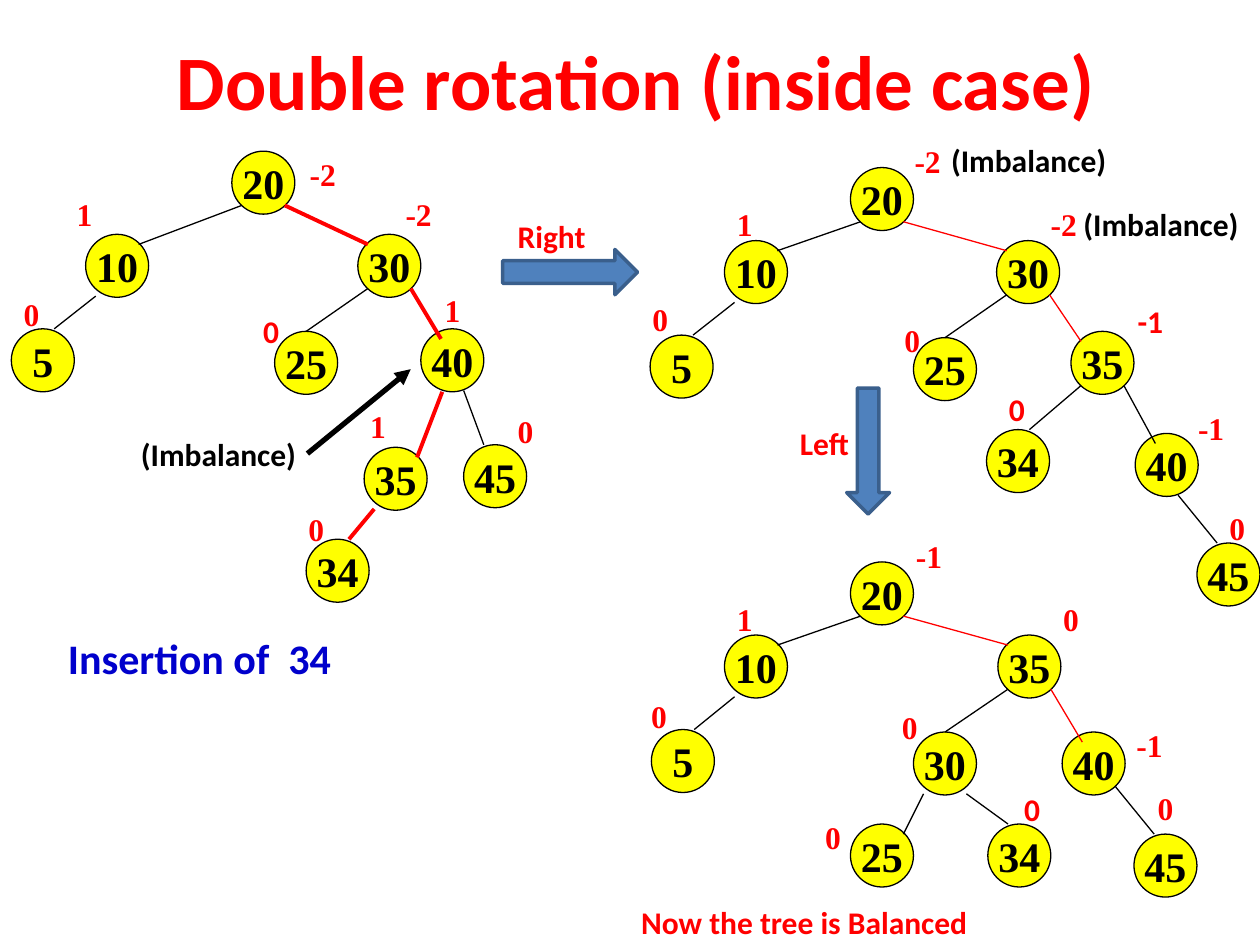
from lxml import etree
from pptx import Presentation
from pptx.dml.color import RGBColor
from pptx.enum.shapes import MSO_CONNECTOR, MSO_SHAPE
from pptx.enum.text import MSO_ANCHOR, MSO_AUTO_SIZE, PP_ALIGN
from pptx.oxml.ns import qn
from pptx.util import Inches, Pt

RED = RGBColor(0xFF, 0x00, 0x00)
BLACK = RGBColor(0x00, 0x00, 0x00)
YELLOW = RGBColor(0xFF, 0xFF, 0x00)
NAVY = RGBColor(0x00, 0x00, 0xCC)
BLUE = RGBColor(0x4F, 0x81, 0xBD)
STEEL = RGBColor(0x3A, 0x5F, 0x8C)
SANS, SERIF = "Calibri", "Times New Roman"
LEFT, CENTER = PP_ALIGN.LEFT, PP_ALIGN.CENTER
TOP, MIDDLE = MSO_ANCHOR.TOP, MSO_ANCHOR.MIDDLE
GROW = MSO_AUTO_SIZE.SHAPE_TO_FIT_TEXT
OVAL, STRAIGHT = MSO_SHAPE.OVAL, MSO_CONNECTOR.STRAIGHT
RIGHT_ARROW, DOWN_ARROW = MSO_SHAPE.RIGHT_ARROW, MSO_SHAPE.DOWN_ARROW

NODE = 0.5
# Where an edge may meet a node, measured from the node's top left corner
PORTS = {
    "sw": (0.08, 0.43), "se": (0.42, 0.43), "nw": (0.08, 0.08), "ne": (0.42, 0.08),
    "low left": (0.08, 0.49), "low right": (0.42, 0.49),
    "foot left": (0.17, 0.5), "foot right": (0.34, 0.49),
    "top": (0.25, 0), "top left": (0.16, 0), "top right": (0.34, 0),
    "brow": (0.16, 0.08),
}


def write(frame, text, size=18, font=SANS, color=RED, align=LEFT, anchor=TOP, wrap=False):
    """Put one bold line of text into a frame."""
    frame.word_wrap = wrap
    frame.vertical_anchor = anchor
    para = frame.paragraphs[0]
    para.alignment = align
    run = para.add_run()
    run.text = text
    run.font.size = Pt(size)
    run.font.name = font
    run.font.bold = True
    run.font.color.rgb = color


class Board:
    """Draws trees and labels on one slide."""

    def __init__(self, slide):
        """Keep the slide to draw on."""
        self.shapes = slide.shapes

    def label(self, text, x, y, w, h=0.4, grow=True, **style):
        """Add a text box."""
        frame = self.shapes.add_textbox(Inches(x), Inches(y), Inches(w), Inches(h)).text_frame
        write(frame, text, **style)
        if grow:
            frame.auto_size = GROW

    def shape(self, kind, x, y, w, h, fill, line, width):
        """Add a filled and outlined preset shape."""
        shape = self.shapes.add_shape(kind, Inches(x), Inches(y), Inches(w), Inches(h))
        shape.shadow.inherit = False
        shape.fill.solid()
        shape.fill.fore_color.rgb = fill
        shape.line.color.rgb = line
        shape.line.width = Pt(width)
        return shape

    def node(self, key, x, y):
        """Add one tree node."""
        oval = self.shape(OVAL, x, y, NODE, NODE, YELLOW, BLACK, 0.75)
        write(oval.text_frame, str(key), size=24, font=SERIF, color=BLACK,
              align=CENTER, anchor=MIDDLE)

    def line(self, start, end, color=BLACK, width=0.75, arrow=False):
        """Add a straight line, with an arrowhead if asked."""
        ends = [Inches(value) for value in (*start, *end)]
        line = self.shapes.add_connector(STRAIGHT, *ends)
        line.line.color.rgb = color
        line.line.width = Pt(width)
        props = line._element.spPr
        etree.SubElement(props, qn("a:effectLst"))
        if arrow:
            etree.SubElement(props.find(qn("a:ln")), qn("a:tailEnd"), type="triangle")

    def tree(self, nodes, edges, marks, path_width=0.75):
        """Add nodes, the edges between them and the balance marks."""
        for key, (x, y) in nodes.items():
            self.node(key, x, y)
        for above, leave, below, enter, color in edges:
            ends = [[a + b for a, b in zip(nodes[key], PORTS[port])]
                    for key, port in ((above, leave), (below, enter))]
            self.line(*ends, color, path_width if color == RED else 0.75)
        for text, x, y, font in marks:
            self.label(text, x, y, 0.41 if "-" in text else 0.34, font=font)


def upper(right, inner):
    """Give the edges that all three trees share near the root."""
    return [
        (20, "sw", 10, "ne", BLACK), (20, "se", right, "nw", RED),
        (10, "low left", 5, "top right", BLACK), (right, "sw", inner, "top", BLACK),
    ]


deck = Presentation()
deck.slide_width, deck.slide_height = Inches(10), Inches(7.5)
board = Board(deck.slides.add_slide(deck.slide_layouts[6]))

board.label("Double rotation (inside case)", 0.55, 0.19, 9, 0.88, grow=False, size=44,
            align=CENTER, anchor=MIDDLE, wrap=True)

# Tree after the insertion
board.tree(
    {20: (1.84, 1.2), 10: (0.68, 1.86), 30: (2.84, 1.86), 5: (0.09, 2.61), 25: (2.18, 2.63),
     40: (3.34, 2.61), 35: (2.89, 3.55), 45: (3.68, 3.53), 34: (2.43, 4.28)},
    upper(30, 25) + [
        (30, "se", 40, "brow", RED), (40, "foot left", 35, "ne", RED),
        (40, "foot right", 45, "top left", BLACK), (35, "low left", 34, "top right", RED)],
    [("-2", 2.36, 1.18, SERIF), ("-2", 3.12, 1.5, SERIF), ("1", 0.51, 1.5, SERIF),
     ("0", 0.09, 2.29, SERIF), ("0", 1.99, 2.43, SANS), ("1", 3.43, 2.26, SERIF),
     ("1", 2.84, 3.18, SERIF), ("0", 4.01, 3.22, SERIF), ("0", 2.35, 4, SERIF)],
    path_width=2.25)

# Tree after the right rotation
board.tree(
    {20: (6.75, 1.33), 10: (5.75, 1.91), 30: (7.91, 1.91), 5: (5.16, 2.66), 25: (7.25, 2.68),
     35: (8.5, 2.63), 34: (7.83, 3.41), 40: (9.01, 3.44), 45: (9.5, 4.31)},
    upper(30, 25) + [
        (30, "se", 35, "nw", RED), (35, "sw", 34, "top right", BLACK),
        (35, "se", 40, "brow", BLACK), (40, "foot right", 45, "top left", BLACK)],
    [("-2", 7.16, 1.08, SERIF), ("-2", 8.24, 1.58, SERIF), ("1", 5.75, 1.58, SERIF),
     ("0", 5.08, 2.33, SERIF), ("0", 7.08, 2.5, SERIF), ("-1", 8.93, 2.35, SANS),
     ("0", 7.91, 3.05, SANS), ("-1", 9.41, 3.2, SERIF), ("0", 9.66, 3.99, SERIF)])

# Tree after the left rotation
board.tree(
    {20: (6.75, 4.46), 10: (5.75, 5.04), 35: (7.92, 5.04), 5: (5.17, 5.79), 30: (7.25, 5.81),
     40: (8.43, 5.81), 25: (6.75, 6.54), 34: (7.84, 6.54), 45: (9, 6.62)},
    upper(35, 30) + [
        (35, "se", 40, "brow", RED), (30, "low left", 25, "ne", BLACK),
        (30, "low right", 34, "top left", BLACK), (40, "se", 45, "top left", BLACK)],
    [("-1", 7.17, 4.21, SERIF), ("0", 8.34, 4.71, SERIF), ("1", 5.75, 4.71, SERIF),
     ("0", 5.07, 5.48, SERIF), ("0", 7.06, 5.57, SERIF), ("-1", 8.92, 5.71, SERIF),
     ("0", 6.45, 6.44, SERIF), ("0", 8.03, 6.22, SANS), ("0", 9.09, 6.21, SERIF)])

# Steps and remarks
for kind, *place in ((RIGHT_ARROW, 3.99, 1.98, 1.07, 0.36), (DOWN_ARROW, 6.72, 3.08, 0.34, 1)):
    board.shape(kind, *place, BLUE, STEEL, 2)
for text, *place in (("Right", 4.01, 1.67, 0.74), ("Left", 6.25, 3.32, 0.6),
                     ("Now the tree is Balanced", 4.99, 7.12, 2.81)):
    board.label(text, *place)
for x, y in ((1.02, 3.4), (7.45, 1.07), (8.5, 1.58)):
    board.label("(Imbalance)", x, y, 1.44, color=BLACK)
board.line((2.44, 3.6), (3.26, 2.93), width=3, arrow=True)
board.label("Insertion of  34", 0.44, 4.97, 2.75, 0.5, size=24, color=NAVY, wrap=True)

deck.save("out.pptx")
